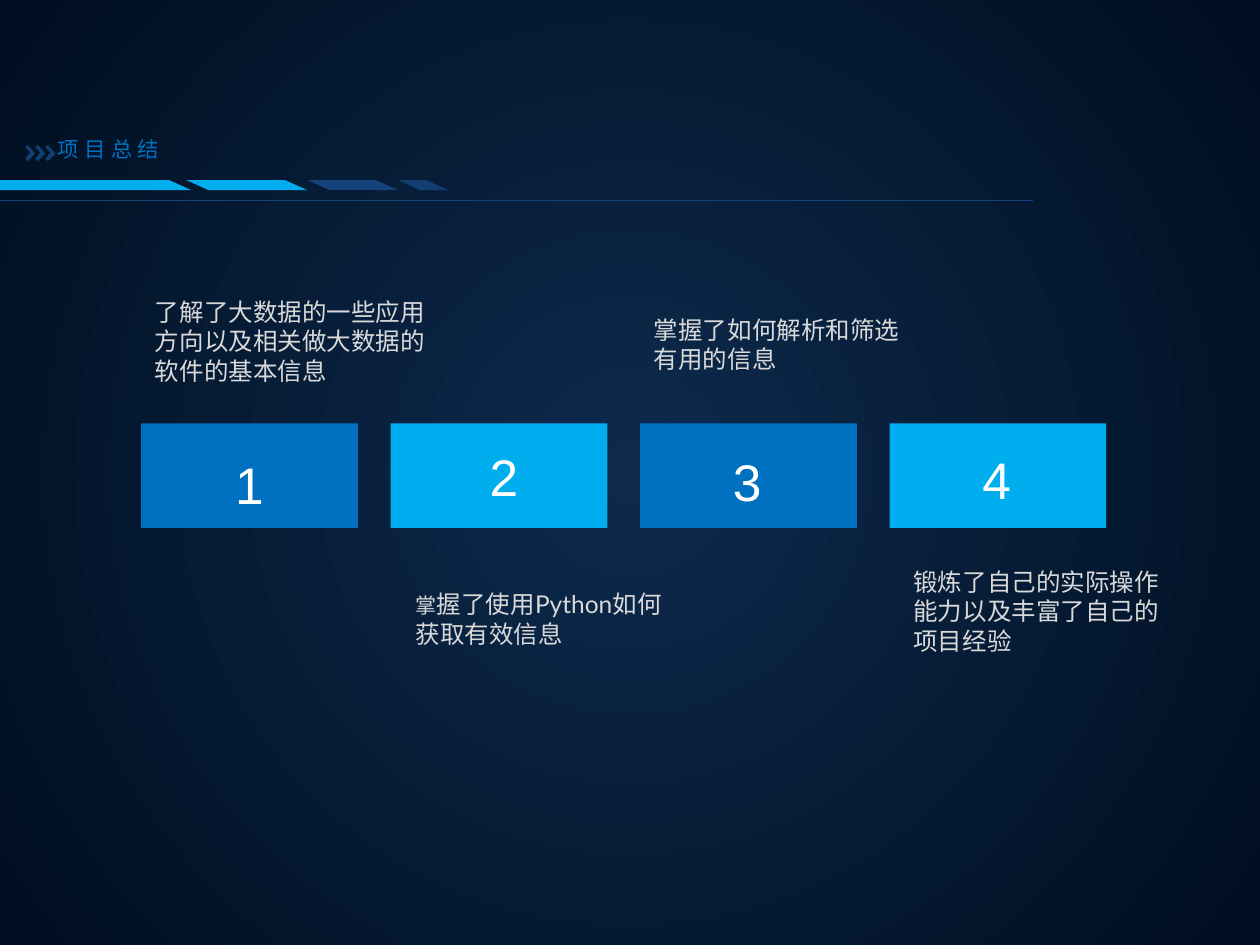
from lxml.etree import SubElement
from pptx import Presentation
from pptx.dml.color import RGBColor
from pptx.enum.shapes import MSO_CONNECTOR, MSO_SHAPE
from pptx.enum.text import MSO_ANCHOR as ANCHOR, PP_ALIGN as ALIGN
from pptx.oxml.ns import qn
from pptx.util import Inches, Pt

COLORS = {
    "center": "0D2A4D", "edge": "000F21",
    "blue": "0070C0", "cyan": "00AEEF",
    "navy": "14427A", "deep_navy": "133E73",
    "white": "FFFFFF", "caption": "D9D9D9",
}
TILE_LEFT, TILE_STEP = 1.12, 1.98
# tile colour, number left, top, height, anchor, line spacing
TILES = [
    ("blue", 1.54, 3.48, 0.57, ANCHOR.MIDDLE, 1.3),
    ("cyan", 3.56, 3.48, 0.6, ANCHOR.TOP, 1.0),
    ("blue", 5.49, 3.46, 0.57, ANCHOR.MIDDLE, 1.3),
    ("cyan", 7.47, 3.51, 0.6, ANCHOR.TOP, 1.0),
]
# left, top, width, height, runs of (text, size)
CAPTIONS = [
    (1.23, 2.24, 2.22, 0.93, [("了解了大数据的一些应用方向以及相关做大数据的软件的基本信息", 14)]),
    (3.3, 4.77, 2.07, 0.28, [("掌", 12), ("握了使用Python如何获取有效信息", 14)]),
    (5.19, 2.59, 2.07, 0.28, [("掌握了如何解析和筛选有用的信息", 14)]),
    (7.25, 4.71, 2.07, 0.28, [("锻炼了自己的实际操作能力以及丰富了自己的项目经验", 14)]),
]
# left, width, colour
BARS = [
    (-1.64, 3.16, "cyan"), (1.48, 0.96, "cyan"),
    (2.44, 0.72, "navy"), (3.16, 0.4, "deep_navy"),
]
CHEVRON = [(0, 0.02), (0.02, 0), (0.08, 0.07), (0.02, 0.13), (0, 0.11), (0.04, 0.06)]


def color(name):
    return RGBColor.from_string(COLORS[name])


def paint(shape, fill):
    shape.shadow.inherit = False
    shape.fill.solid()
    shape.fill.fore_color.rgb = color(fill)
    shape.line.fill.background()


def style(paragraph, size, font, fill):
    paragraph.font.size = Pt(size)
    paragraph.font.name = font
    paragraph.font.color.rgb = color(fill)


def set_radial_background(slide):
    fill = slide.background.fill
    fill.gradient()
    for stop, name, position in zip(fill.gradient_stops, ("center", "edge"), (0, 0.97)):
        stop.color.rgb = color(name)
        stop.position = position
    gradient = slide.element.find(".//" + qn("a:gradFill"))
    gradient.remove(gradient.find(qn("a:lin")))
    circle = SubElement(gradient, qn("a:path"), path="circle")
    SubElement(circle, qn("a:fillToRect"), {side: "50000" for side in "ltrb"})


def add_text_box(slide, left, top, width, height, anchor):
    box = slide.shapes.add_textbox(*map(Inches, (left, top, width, height)))
    frame = box.text_frame
    frame.word_wrap = True
    frame.vertical_anchor = anchor
    return frame


def add_tile(slide, index, fill, left, top, height, anchor, spacing):
    tile = slide.shapes.add_shape(
        MSO_SHAPE.RECTANGLE, Inches(TILE_LEFT + TILE_STEP * index), Inches(3.36),
        Inches(1.72), Inches(0.83))
    paint(tile, fill)
    number = add_text_box(slide, left, top, 0.88, height, anchor).paragraphs[0]
    number.text = str(index + 1)
    number.alignment = ALIGN.CENTER
    number.line_spacing = spacing
    style(number, 29.4, "Arial", "white")


def add_caption(slide, left, top, width, height, runs):
    frame = add_text_box(slide, left, top, width, height, ANCHOR.MIDDLE)
    frame.margin_left = frame.margin_right = 0
    frame.margin_top = frame.margin_bottom = Inches(0.08)
    paragraph = frame.paragraphs[0]
    style(paragraph, 14, "Lato", "caption")
    for text, size in runs:
        run = paragraph.add_run()
        run.text = text
        run.font.size = Pt(size)


def add_bar(slide, left, width, fill):
    bar = slide.shapes.add_shape(
        MSO_SHAPE.PARALLELOGRAM, Inches(left), Inches(1.43), Inches(width), Inches(0.08))
    bar.adjustments[0] = 2.208
    bar.element.spPr.find(qn("a:xfrm")).set("flipV", "1")
    paint(bar, fill)


def add_rule(slide):
    rule = slide.shapes.add_connector(
        MSO_CONNECTOR.STRAIGHT, Inches(-0.44), Inches(1.59), Inches(8.2), Inches(1.59))
    rule.line.color.rgb = color("navy")
    rule.line.width = Pt(0.5)
    SubElement(rule.element.spPr, qn("a:effectLst"))


def add_chevron(slide, left):
    points = [(Inches(left + x), Inches(1.15 + y)) for x, y in CHEVRON]
    builder = slide.shapes.build_freeform(*points[0])
    builder.add_line_segments(points[1:], close=True)
    paint(builder.convert_to_shape(), "deep_navy")


def set_title(slide, text):
    title = slide.shapes.title
    title.left, title.top, title.width, title.height = map(Inches, (0.36, 1.03, 1.04, 0.3))
    frame = title.text_frame
    frame.word_wrap = False
    frame.vertical_anchor = ANCHOR.MIDDLE
    heading = frame.paragraphs[0]
    heading.text = text
    heading.alignment = ALIGN.LEFT
    style(heading, 12.2, "Noto Sans CJK SC", "blue")
    heading.runs[0].font._element.set("spc", "300")


def main():
    deck = Presentation()
    deck.slide_width, deck.slide_height = Inches(10), Inches(7.5)
    slide = deck.slides.add_slide(deck.slide_layouts[5])
    set_radial_background(slide)
    set_title(slide, "项目总结")
    for index, tile in enumerate(TILES):
        add_tile(slide, index, *tile)
    for caption in CAPTIONS:
        add_caption(slide, *caption)
    for bar in BARS:
        add_bar(slide, *bar)
    add_rule(slide)
    for index in range(3):
        add_chevron(slide, 0.2 + 0.08 * index)
    deck.save("out.pptx")


if __name__ == "__main__":
    main()
